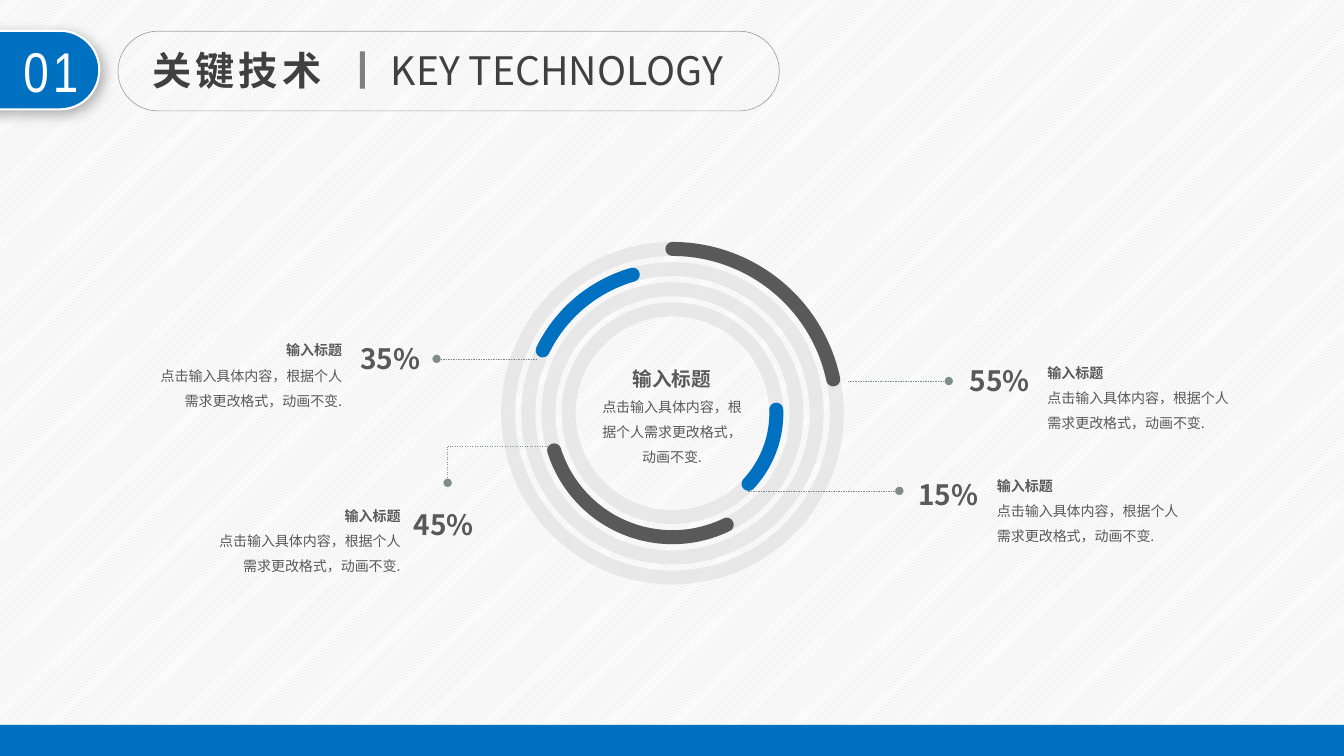
from dataclasses import dataclass
from itertools import pairwise

from lxml.etree import SubElement
from pptx import Presentation
from pptx.dml.color import RGBColor
from pptx.enum.dml import MSO_LINE, MSO_PATTERN
from pptx.enum.shapes import MSO_CONNECTOR, MSO_SHAPE
from pptx.enum.text import MSO_ANCHOR, MSO_AUTO_SIZE, PP_ALIGN
from pptx.oxml.ns import qn
from pptx.util import Inches, Pt


@dataclass(frozen=True)
class Theme:
    blue: str = "0070C0"
    ink: str = "595959"
    heading: str = "404040"
    divider: str = "808080"
    frame: str = "A6A6A6"
    pale: str = "D9D9D9"
    leader: str = "7F8C8D"
    white: str = "FFFFFF"
    font: str = "Noto Sans CJK SC"
    number_font: str = "Arial Narrow"
    badge_size: int = 40
    title_size: int = 28
    percent_size: int = 20
    centre_size: int = 14
    body_size: int = 10
    ring_width: int = 10


theme = Theme()


def draw_shape(kind, box, fill=None, line=None, width=0):
    shape = slide.shapes.add_shape(kind, *map(Inches, box))
    shape.shadow.inherit = False
    if fill:
        shape.fill.solid()
        shape.fill.fore_color.rgb = RGBColor.from_string(fill)
    else:
        shape.fill.background()
    if line:
        shape.line.color.rgb = RGBColor.from_string(line)
        shape.line.width = Pt(width)
    else:
        shape.line.fill.background()
    return shape


def write_text(holder, box, lines, color, align=PP_ALIGN.LEFT, wrap=True,
               spacing=None, tracking=0, font=theme.font):
    holder.left, holder.top, holder.width, holder.height = map(Inches, box)
    frame = holder.text_frame
    frame.word_wrap = wrap
    frame.auto_size = MSO_AUTO_SIZE.SHAPE_TO_FIT_TEXT
    frame.vertical_anchor = MSO_ANCHOR.TOP
    for index, (words, size, bold) in enumerate(lines):
        paragraph = frame.add_paragraph() if index else frame.paragraphs[0]
        paragraph.alignment = align
        paragraph.line_spacing = spacing or 1.0
        paragraph.space_before = Pt(0)
        run = paragraph.add_run()
        run.text = words
        run.font.size = Pt(size)
        run.font.bold = bold
        run.font.name = font
        run.font.color.rgb = RGBColor.from_string(color)
        properties = run.font._element
        SubElement(properties, qn("a:ea"), typeface=font)
        if tracking:
            properties.set("spc", str(tracking * 100))


prs = Presentation()
prs.slide_width, prs.slide_height = Inches(13.33), Inches(7.5)
slide = prs.slides.add_slide(prs.slide_layouts[5])

background = slide.background.fill
background.patterned()
background.pattern = MSO_PATTERN.LIGHT_UPWARD_DIAGONAL
background.fore_color.rgb = RGBColor.from_string(theme.pale)
background.back_color.rgb = RGBColor.from_string(theme.white)

centre_x, centre_y = 6.67, 4.1
diameters = [3.26 - 0.4 * ring for ring in range(4)]
ring_boxes = [(centre_x - d / 2, centre_y - d / 2, d, d) for d in diameters]
for ring_box in ring_boxes:
    track = draw_shape(MSO_SHAPE.OVAL, ring_box, None, theme.pale, theme.ring_width)
    track_color = track.line._ln.find(".//" + qn("a:srgbClr"))
    SubElement(track_color, qn("a:alpha"), val="50000")

sweeps = [
    (270, 348.11, theme.ink),
    (205.84, 254, theme.blue),
    (64.04, 162.55, theme.ink),
    (358.05, 42.89, theme.blue),
]
for ring_box, (start, end, color) in zip(ring_boxes, sweeps):
    progress = draw_shape(MSO_SHAPE.ARC, ring_box, None, color, theme.ring_width)
    progress.adjustments[0] = start * 0.6
    progress.adjustments[1] = end * 0.6
    progress.line._ln.set("cap", "rnd")

heading = "输入标题"
description = "点击输入具体内容，根据个人需求更改格式，动画不变."
centre_box = (5.83, 3.47, 1.67, 1.21)
write_text(slide.shapes.add_textbox(*map(Inches, centre_box)), centre_box,
           [(heading, theme.centre_size, True), (description, theme.body_size, False)],
           theme.ink, PP_ALIGN.CENTER, spacing=1.5)

callouts = [
    ("55%", PP_ALIGN.LEFT, (9.52, 3.56), (10.29, 3.48), [(8.41, 3.78), (9.41, 3.78)]),
    ("15%", PP_ALIGN.LEFT, (9.01, 4.69), (9.79, 4.6), [(7.42, 4.87), (8.92, 4.87)]),
    ("35%", PP_ALIGN.RIGHT, (3.46, 3.34), (1.45, 3.26), [(5.33, 3.56), (4.33, 3.56)]),
    ("45%", PP_ALIGN.RIGHT, (3.99, 4.99), (2.03, 4.9),
     [(5.44, 4.43), (4.44, 4.43), (4.44, 4.79)]),
]
for percent, align, percent_at, detail_at, route in callouts:
    for begin, end in pairwise(route):
        leader = slide.shapes.add_connector(
            MSO_CONNECTOR.STRAIGHT, *map(Inches, begin + end))
        leader.line.color.rgb = RGBColor.from_string(theme.leader)
        leader.line.width = Pt(0.25)
        leader.line.dash_style = MSO_LINE.DASH
        SubElement(leader._element.spPr, qn("a:effectLst"))
    SubElement(leader.line._ln, qn("a:tailEnd"), type="oval")

    percent_box = (*percent_at, 0.81, 0.44)
    write_text(slide.shapes.add_textbox(*map(Inches, percent_box)), percent_box,
               [(percent, theme.percent_size, True)], theme.ink, align, wrap=False)
    detail_box = (*detail_at, 2.04, 0.86)
    write_text(slide.shapes.add_textbox(*map(Inches, detail_box)), detail_box,
               [(heading, theme.body_size, True), (description, theme.body_size, False)],
               theme.ink, align, spacing=1.5)

draw_shape(MSO_SHAPE.RECTANGLE, (0, 7.19, 13.33, 0.31), theme.blue)

badge = draw_shape(MSO_SHAPE.ROUNDED_RECTANGLE, (-0.46, -0.36, 0.78, 2.11),
                   theme.blue, theme.white, 1.5)
badge.rotation = 90
badge.adjustments[0] = 0.5
badge_shadow = SubElement(
    badge._element.spPr.find(qn("a:effectLst")), qn("a:outerShdw"),
    blurRad=str(Pt(10)), dist=str(Pt(4)), dir=str(45 * 60000), rotWithShape="0")
shadow_color = SubElement(badge_shadow, qn("a:srgbClr"), val="000000")
SubElement(shadow_color, qn("a:alpha"), val="30000")

number_box = (0.02, 0.31, 0.97, 0.77)
write_text(slide.shapes.add_textbox(*map(Inches, number_box)), number_box,
           [("01", theme.badge_size, False)], theme.white, PP_ALIGN.CENTER,
           tracking=3, font=theme.number_font)

title_frame = draw_shape(MSO_SHAPE.ROUNDED_RECTANGLE, (1.17, 0.31, 6.56, 0.79),
                         None, theme.frame, 0.5)
title_frame.adjustments[0] = 0.5
write_text(slide.shapes.title, (1.41, 0.41, 1.96, 0.57),
           [("关键技术", theme.title_size, True)], theme.heading, tracking=3)
draw_shape(MSO_SHAPE.RECTANGLE, (3.57, 0.51, 0.05, 0.37), theme.divider)
english_box = (3.78, 0.41, 3.7, 0.57)
write_text(slide.shapes.add_textbox(*map(Inches, english_box)), english_box,
           [("KEY TECHNOLOGY", theme.title_size, False)], theme.heading, wrap=False)

prs.save("out.pptx")
